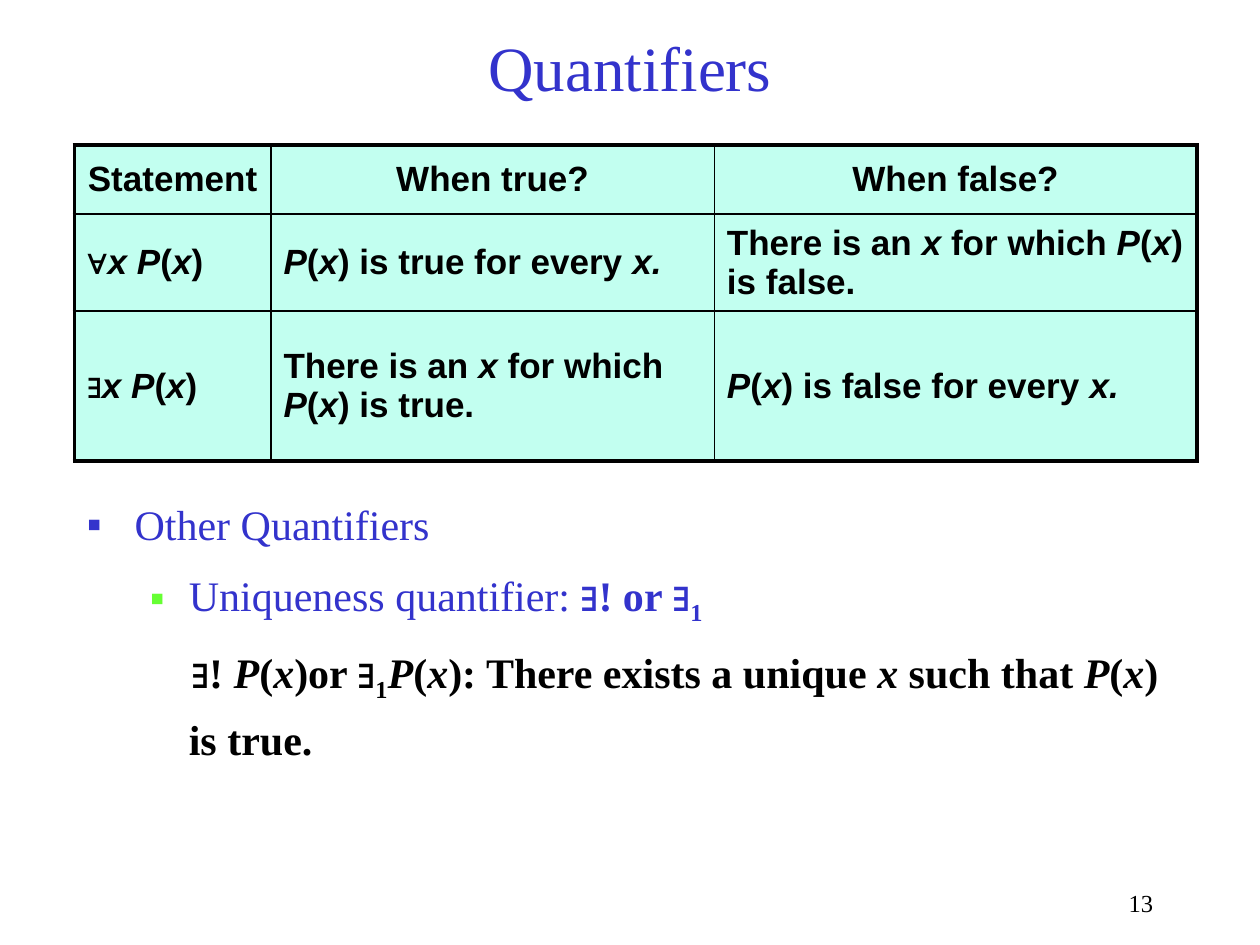
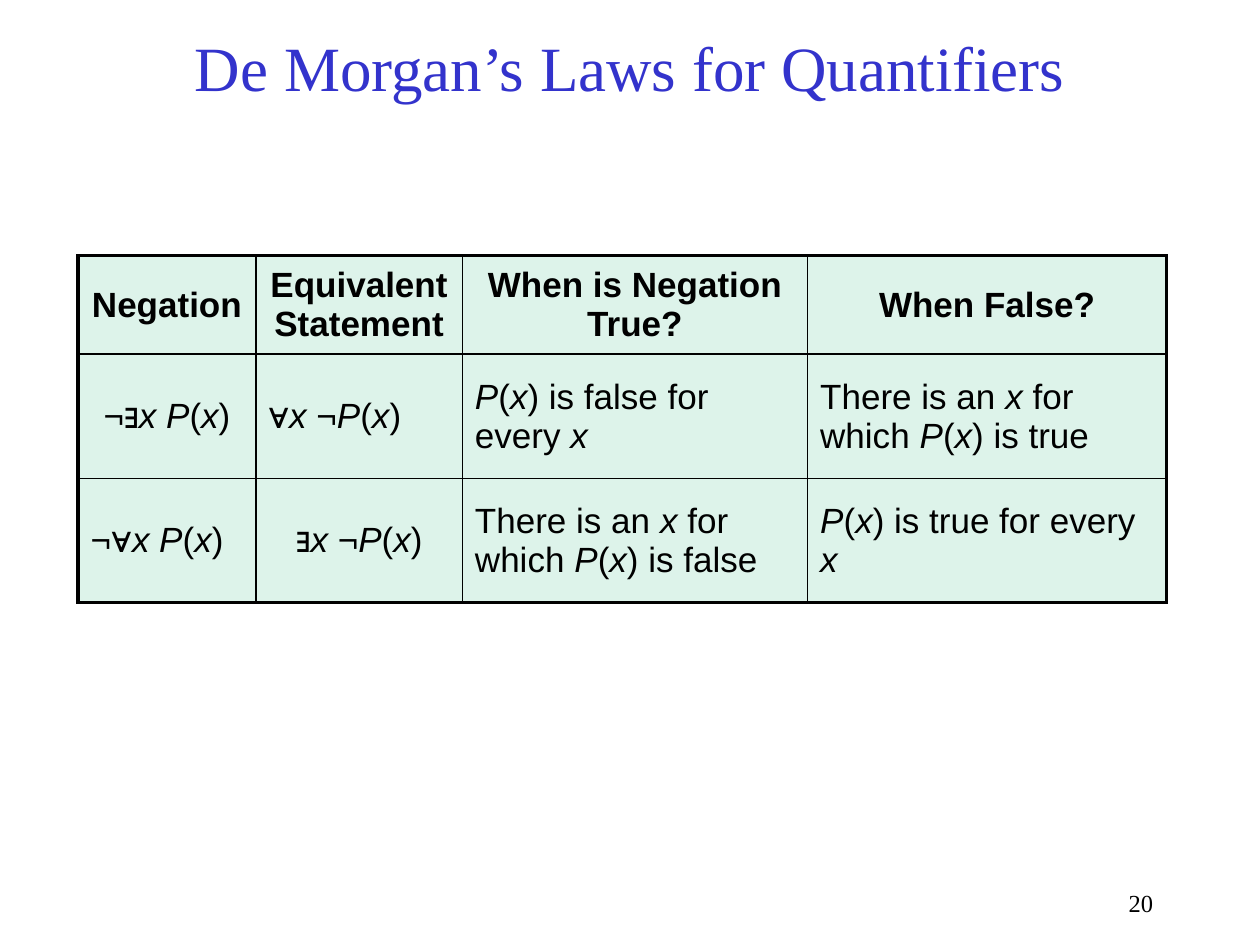
from itertools import product

from lxml import etree
from pptx import Presentation
from pptx.dml.color import RGBColor
from pptx.enum.text import MSO_ANCHOR, PP_ALIGN
from pptx.oxml.ns import qn
from pptx.util import Inches, Pt

CENTER, LEFT, RIGHT = PP_ALIGN.CENTER, PP_ALIGN.LEFT, PP_ALIGN.RIGHT
MIDDLE = MSO_ANCHOR.MIDDLE

COLORS = {
    "blue": "3333CC",
    "green": "66FF33",
    "black": "000000",
    "aqua": "C2FFF0",
    "mint": "DDF3EA",
}
SERIF, SANS = "Times New Roman", "Arial"
ITALIC, BOLD, SUBSCRIPT = "*", "#", "_"
OUTER_LINE, INNER_LINE = 2.25, 1

SLIDES = [
    {
        "title": "Quantifiers",
        "number": "13",
        "table": {
            "corner": (0.59, 1.15),
            "columns": [1.56, 3.52, 3.83],
            "heights": [0.55, 0.77, 1.19],
            "fill": "aqua",
            "bold_rows": {0, 1, 2},
            "centered": set(),
            "gap": 0,
            "rows": [
                ["Statement", "When true?", "When false?"],
                ["∀*x P*(*x*)", "*P*(*x*) is true for every *x.*",
                 "There is an *x* for which *P*(*x*) is false."],
                ["∃*x P*(*x*)", "There is an *x* for which *P*(*x*) is true.",
                 "*P*(*x*) is false for every *x.*"],
            ],
        },
        "outline": [
            {"text": "Other Quantifiers", "color": "blue", "bullet": "blue",
             "margin": 0.38, "indent": -0.38},
            {"text": "Uniqueness quantifier: #∃! or ∃_1_#", "color": "blue",
             "bullet": "green", "margin": 0.81, "indent": -0.31},
            {"text": "#∃! *P*(*x*)or ∃_1_*P*(*x*): There exists a unique *x*"
                     " such that *P*(*x*) is true.#",
             "color": "black", "bullet": None, "margin": 0.81, "indent": 0.02},
        ],
    },
    {
        "title": "De Morgan’s Laws for Quantifiers",
        "number": "20",
        "table": {
            "corner": (0.62, 2.03),
            "columns": [1.41, 1.64, 2.74, 2.85],
            "heights": [0.78, 0.99, 0.98],
            "fill": "mint",
            "bold_rows": {0},
            "centered": {(1, 0), (2, 1)},
            "gap": 4,
            "rows": [
                ["Negation", "Equivalent Statement", "When is Negation True?",
                 "When False?"],
                ["¬∃*x P*(*x*)", "∀*x *¬*P*(*x*)",
                 "*P*(*x*) is false for every *x*",
                 "There is an *x* for which *P*(*x*) is true"],
                ["¬∀*x P*(*x*)", "∃*x *¬*P*(*x*)",
                 "There is an *x* for which *P*(*x*) is false",
                 "*P*(*x*) is true for every *x*"],
            ],
        },
        "outline": [],
    },
]


def split_runs(marked):
    on = {ITALIC: False, BOLD: False, SUBSCRIPT: False}
    text = ""
    for char in marked:
        if char in on:
            if text:
                yield text, dict(on)
            on[char] = not on[char]
            text = ""
        else:
            text += char
    if text:
        yield text, dict(on)


def write(paragraph, marked, size, font, color, align=LEFT, bold=False):
    paragraph.alignment = align
    for text, on in split_runs(marked):
        run = paragraph.add_run()
        run.text = text
        run.font.name = font
        run.font.size = Pt(size)
        run.font.bold = bold or on[BOLD]
        run.font.italic = on[ITALIC]
        run.font.color.rgb = RGBColor.from_string(COLORS[color])
        if on[SUBSCRIPT]:
            run.font._element.set("baseline", "-25000")


def add_text_frame(slide, left, top, width, height):
    frame = slide.shapes.add_textbox(
        Inches(left), Inches(top), Inches(width), Inches(height)).text_frame
    frame.word_wrap = True
    return frame


def set_bullet(paragraph, color, margin, indent):
    props = paragraph._p.get_or_add_pPr()
    props.set("marL", str(Inches(margin)))
    props.set("indent", str(Inches(indent)))
    if color:
        bullet_color = etree.SubElement(props, qn("a:buClr"))
        etree.SubElement(bullet_color, qn("a:srgbClr"), val=COLORS[color])
        etree.SubElement(props, qn("a:buFont"), typeface=SANS)
        etree.SubElement(props, qn("a:buChar"), char="▪")
    else:
        etree.SubElement(props, qn("a:buNone"))


def set_borders(cell, outer_sides):
    props = cell._tc.get_or_add_tcPr()
    for side, is_outer in outer_sides.items():
        width = Pt(OUTER_LINE if is_outer else INNER_LINE)
        line = etree.SubElement(props, qn(f"a:ln{side}"), w=str(width))
        fill = etree.SubElement(line, qn("a:solidFill"))
        etree.SubElement(fill, qn("a:srgbClr"), val=COLORS["black"])


def add_title(slide, text):
    title = slide.shapes.title
    title.left, title.top = Inches(0.75), Inches(0.13)
    title.width, title.height = Inches(8.5), Inches(0.79)
    title.text_frame.vertical_anchor = MIDDLE
    write(title.text_frame.paragraphs[0], text, 36, SERIF, "blue", CENTER)


def add_statement_table(slide, content):
    rows, columns, heights = content["rows"], content["columns"], content["heights"]
    left, top = content["corner"]
    table = slide.shapes.add_table(
        len(rows), len(columns), Inches(left), Inches(top),
        Inches(sum(columns)), Inches(sum(heights))).table
    table.first_row = table.horz_banding = False
    for column, width in zip(table.columns, columns):
        column.width = Inches(width)
    for row, height in zip(table.rows, heights):
        row.height = Inches(height)
    for r, c in product(range(len(rows)), range(len(columns))):
        cell = table.cell(r, c)
        set_borders(cell, {"L": c == 0, "R": c == len(columns) - 1,
                           "T": r == 0, "B": r == len(rows) - 1})
        cell.fill.solid()
        cell.fill.fore_color.rgb = RGBColor.from_string(COLORS[content["fill"]])
        cell.vertical_anchor = MIDDLE
        paragraph = cell.text_frame.paragraphs[0]
        centered = (r, c) in content["centered"]
        paragraph.space_before = Pt(0 if centered else content["gap"])
        write(paragraph, rows[r][c], 20, SANS, "black",
              CENTER if r == 0 or centered else LEFT, r in content["bold_rows"])


def add_outline(slide, points):
    frame = add_text_frame(slide, 0.59, 3.83, 8.78, 2.66)
    for i, point in enumerate(points):
        paragraph = frame.add_paragraph() if i else frame.paragraphs[0]
        paragraph.line_spacing = 1.2
        paragraph.space_before = Pt(4.8)
        set_bullet(paragraph, point["bullet"], point["margin"], point["indent"])
        write(paragraph, point["text"], 24, SERIF, point["color"])


def add_slide_number(slide, number):
    frame = add_text_frame(slide, 7.67, 7, 1.58, 0.33)
    write(frame.paragraphs[0], number, 14, SERIF, "black", RIGHT)


def main():
    deck = Presentation()
    deck.slide_width, deck.slide_height = Inches(10), Inches(7.5)
    title_only = deck.slide_layouts[5]
    for content in SLIDES:
        slide = deck.slides.add_slide(title_only)
        add_title(slide, content["title"])
        if content["outline"]:
            add_outline(slide, content["outline"])
        add_statement_table(slide, content["table"])
        add_slide_number(slide, content["number"])
    deck.save("out.pptx")


if __name__ == "__main__":
    main()
